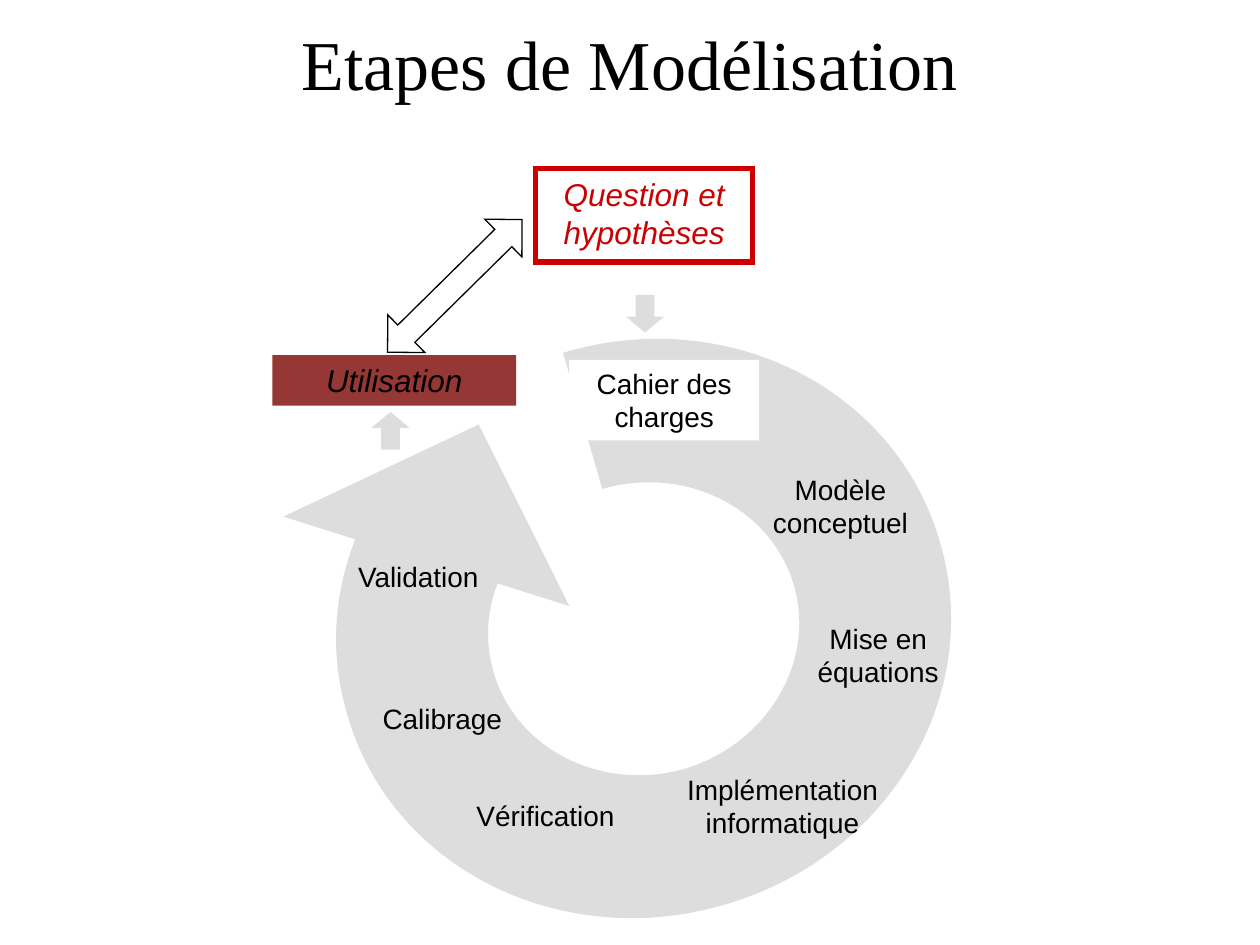
"""Build the slide on the steps of modelling, set around a circular arrow."""
from lxml import etree
from pptx import Presentation
from pptx.dml.color import RGBColor
from pptx.enum.shapes import MSO_SHAPE
from pptx.enum.text import MSO_ANCHOR, PP_ALIGN
from pptx.oxml.ns import qn
from pptx.util import Pt

RECT = MSO_SHAPE.RECTANGLE
DOWN, UP, BOTH = MSO_SHAPE.DOWN_ARROW, MSO_SHAPE.UP_ARROW, MSO_SHAPE.UP_DOWN_ARROW
MIDDLE, TOP, CENTER = MSO_ANCHOR.MIDDLE, MSO_ANCHOR.TOP, PP_ALIGN.CENTER

THEME = {
    "serif": "Times New Roman", "sans": "Arial",
    "title": 40, "key": 18, "step": 16,
    "black": "000000", "white": "FFFFFF", "red": "CC0000",
    "brown": "953735", "grey": "DDDDDD",
}

TITLE = "Etapes de Modélisation"
ARROWS = [
    (BOTH, (244.8, 109.4, 30.2, 108), 45.4, (0.54, 0.46), None, "black"),
    (UP, (212.4, 235.4, 21.6, 21.6), 0, (0.5, 0.42), "grey", None),
    (DOWN, (357.8, 168.5, 21.6, 21.6), 0, (0.5, 0.42), "grey", None),
]
BOXES = [
    ("Utilisation", (155.7, 203, 139.2, 28.8), "key", "black", "brown", None),
    ("Cahier des charges", (325.3, 205.7, 108.5, 46), "step", "black", "white", None),
    ("Question et hypothèses", (306.2, 96.5, 123.8, 53.3), "key", "red", "white", "red"),
]
STEPS = [
    ("Modèle conceptuel", (432, 266.4, 96.5, 46)),
    ("Implémentation informatique", (380.2, 437.8, 133.9, 46)),
    ("Vérification", (244.8, 452.9, 133.9, 26.6)),
    ("Mise en équations", (453.6, 351.4, 96.5, 46)),
    ("Calibrage", (185.8, 397.4, 133.9, 26.6)),
    ("Validation", (172.1, 316.1, 133.9, 26.6)),
]
START = (284.4, 333.4)
RING = [
    [(277.9, 349.9), (277.2, 367.9), (282.2, 384.5)],
    [(295.2, 428.4), (344.2, 452.9), (391.7, 439.2)],
    [(438.5, 424.8), (466.6, 378), (453.6, 334.1)],
    [(440.6, 290.2), (391.7, 265.7), (344.2, 279.4)],
    [(321.8, 201.6)],
    [(415.4, 173.5), (511.9, 221.8), (537.1, 309.6)],
    [(563, 396.7), (508.3, 489.6), (414, 517)],
    [(320.4, 544.3), (223.9, 496.1), (198.7, 409)],
    [(188.6, 375.8), (190.1, 341.3), (203, 308.2)],
    [(162, 295.2)], [(273.6, 242.6)], [(325.4, 346.3)],
]


def color(name):
    return RGBColor.from_string(THEME[name])


def place(box):
    return [Pt(v) for v in box]


def paint(shape, fill, line, width=0.75):
    shape.shadow.inherit = False
    if fill:
        shape.fill.solid()
        shape.fill.fore_color.rgb = color(fill)
    else:
        shape.fill.background()
    if line:
        shape.line.color.rgb = color(line)
        shape.line.width = Pt(width)
        edge = shape.line.fill._xPr
        etree.SubElement(edge, qn("a:miter"), lim="800000")
    else:
        shape.line.fill.background()


def write(shape, text, size, ink="black", face="sans", anchor=TOP):
    frame = shape.text_frame
    frame.word_wrap = True
    frame.vertical_anchor = anchor
    frame.text = text
    para = frame.paragraphs[0]
    para.alignment = CENTER
    font = para.font
    font.name, font.size = THEME[face], Pt(THEME[size])
    font.color.rgb = color(ink)
    font.italic = size == "key"


def trace(shapes, start, parts):
    """Draw a closed outline in which parts of three points are curves."""
    pen = shapes.build_freeform(*place(start))
    pen.add_line_segments([place(p) for part in parts for p in part])
    shape = pen.convert_to_shape()
    steps = iter(shape._element.findall(".//" + qn("a:lnTo")))
    for part in parts:
        group = [next(steps) for _ in part]
        if len(group) == 3:
            bend = etree.Element(qn("a:cubicBezTo"))
            group[0].addprevious(bend)
            for step in group:
                bend.append(step[0])
                step.getparent().remove(step)
    return shape


deck = Presentation()
deck.slide_width, deck.slide_height = Pt(720), Pt(540)
slide = deck.slides.add_slide(deck.slide_layouts[5])
shapes = slide.shapes

title = shapes.title
title.left, title.top, title.width, title.height = place((0, 0, 720, 72))
title.fill.solid()
title.fill.fore_color.rgb = color("white")
write(title, TITLE, "title", face="serif", anchor=MIDDLE)

paint(trace(shapes, START, RING), "grey", None)

for kind, box, turn, bends, fill, line in ARROWS:
    arrow = shapes.add_shape(kind, *place(box))
    arrow.rotation = turn
    for i, bend in enumerate(bends):
        arrow.adjustments[i] = bend
    paint(arrow, fill, line)

for text, box, size, ink, fill, line in BOXES:
    shape = shapes.add_shape(RECT, *place(box))
    paint(shape, fill, line, 3)
    write(shape, text, size, ink)

for text, box in STEPS:
    write(shapes.add_textbox(*place(box)), text, "step")

deck.save("out.pptx")
